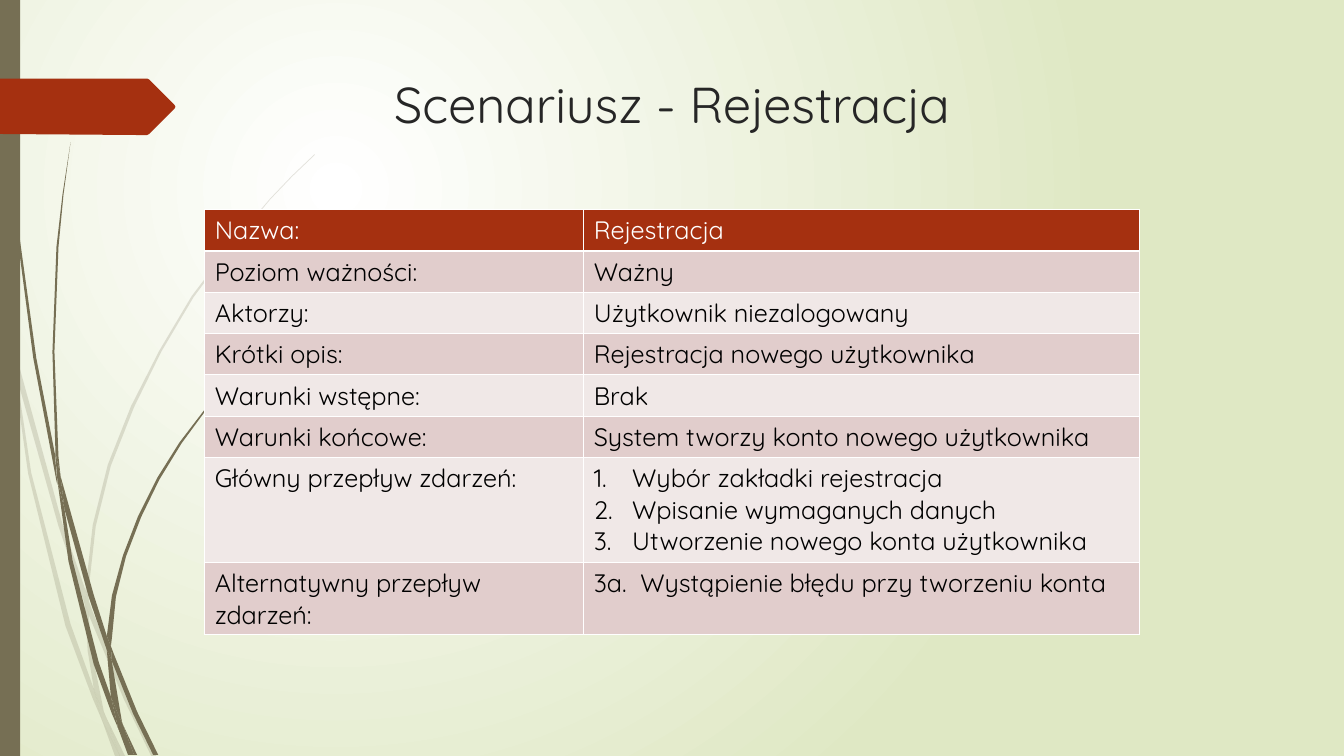
import pptx
import pptx.dml.color
import pptx.enum.shapes
import pptx.enum.text
import pptx.oxml
import pptx.oxml.ns
import pptx.util
import lxml.etree

Inches = pptx.util.Inches
Pt = pptx.util.Pt
qn = pptx.oxml.ns.qn

FONT = "Quicksand"
OLIVE, RUST, WHITE = "766F54", "A53010", "FFFFFF"
BANDS = ("F0E8E7", "E1CDCC")
TITLE = "Scenariusz - Rejestracja"
SCENARIO = [
    ("Nazwa:", ["Rejestracja"]),
    ("Poziom ważności:", ["Ważny"]),
    ("Aktorzy:", ["Użytkownik niezalogowany"]),
    ("Krótki opis:", ["Rejestracja nowego użytkownika"]),
    ("Warunki wstępne:", ["Brak"]),
    ("Warunki końcowe:", ["System tworzy konto nowego użytkownika"]),
    ("Główny przepływ zdarzeń:", ["Wybór zakładki rejestracja",
                                  "Wpisanie wymaganych danych",
                                  "Utworzenie nowego konta użytkownika"]),
    ("Alternatywny przepływ zdarzeń:", ["3a.  Wystąpienie błędu przy tworzeniu konta"]),
]
COLUMN_WIDTHS = (3.76, 5.51)
ROW_HEIGHTS = [0.41] * 6 + [1.04, 0.72]

PALE_GRASS = [
    [(0.11, 3.5), (0.09, 3.22), (0, 2.82), (0, 2.99), (0.1, 3.44)],
    [(0.58, 5.22), (0.84, 5.99), (0.85, 5.86), (0.62, 5.2), (0.14, 3.45), (0.17, 3.76)],
    [(0.92, 6.07), (0.88, 5.96), (0.88, 6.1), (1.23, 6.94), (1.5, 7.5), (1.55, 7.5),
     (1.27, 6.92)],
    [(1.19, 7.5), (1.24, 7.5), (1.05, 7.11)],
    [(0.93, 6.83), (0.7, 6.19), (0.31, 4.69), (0.17, 3.76), (0.11, 3.5), (0.28, 4.7),
     (0.65, 6.21), (0.92, 6.93), (1.01, 7.14), (0.99, 7.07)],
    [(0.84, 5.99), (0.87, 6.46), (0.93, 6.83), (0.96, 6.92), (1.05, 7.11), (1.03, 7.06),
     (0.91, 6.46), (0.88, 6.1), (0.88, 6.08)],
    [(0.88, 5.84), (0.95, 5.22), (1.1, 4.62), (1.33, 4.04), (1.6, 3.49), (1.92, 2.95),
     (2.29, 2.45), (2.68, 1.98), (2.9, 1.75), (3.12, 1.54), (3.12, 1.53), (2.89, 1.75),
     (2.68, 1.97), (2.28, 2.44), (1.9, 2.94), (1.58, 3.48), (1.3, 4.03), (1.07, 4.61),
     (0.92, 5.21), (0.85, 5.84), (0.85, 5.86), (0.88, 5.96)],
    [(1.01, 7.14), (1.14, 7.5), (1.19, 7.5)],
    [(0.88, 6.08), (0.88, 6.1), (0.88, 5.96), (0.85, 5.86), (0.84, 5.99)],
    [(0.96, 6.92), (0.93, 6.83), (0.99, 7.07), (1.01, 7.14), (1.19, 7.5), (1.05, 7.11)],
]
DARK_GRASS = [
    [(0.07, 1.1), (0.17, 2.33), (0.33, 3.55), (0.56, 4.77), (0.57, 4.81), (0.55, 4.57),
     (0.55, 4.53), (0.36, 3.55), (0.19, 2.32), (0.08, 1.09), (0.05, 0.48), (0.04, 0),
     (0.03, 0), (0.04, 0.48)],
    [(0.88, 5.92), (1.06, 6.45), (1.06, 6.33), (1.06, 6.31), (0.93, 5.9), (0.6, 4.72),
     (0.64, 5.05)],
    [(1.13, 6.49), (1.1, 6.41), (1.11, 6.56), (1.32, 7.08), (1.52, 7.49), (1.57, 7.49),
     (1.36, 7.06)],
    [(1.1, 6.91), (0.98, 6.57), (0.72, 5.56), (0.64, 5.05), (0.57, 4.77), (0.68, 5.57),
     (0.93, 6.59), (1.11, 7.08), (1.17, 7.22), (1.16, 7.17)],
    [(0.6, 4.72), (0.58, 4.53), (0.54, 3.49), (0.58, 2.45), (0.63, 1.93), (0.7, 1.41),
     (0.62, 1.93), (0.56, 2.45), (0.52, 3.49), (0.55, 4.49)],
    [(1.33, 7.49), (1.36, 7.49), (1.22, 7.19)],
    [(0.57, 4.77), (0.64, 5.05), (0.6, 4.72), (0.55, 4.49), (0.55, 4.53)],
    [(1.11, 6.33), (1.15, 5.92), (1.25, 5.52), (1.4, 5.13), (1.58, 4.76), (1.8, 4.4),
     (2.05, 4.06), (2.31, 3.74), (2.45, 3.59), (2.61, 3.44), (2.6, 3.44), (2.45, 3.58),
     (2.31, 3.73), (2.04, 4.05), (1.78, 4.39), (1.56, 4.74), (1.37, 5.12), (1.22, 5.51),
     (1.11, 5.91), (1.06, 6.31), (1.1, 6.41)],
    [(1.17, 7.22), (1.27, 7.49), (1.31, 7.49)],
    [(1.06, 6.45), (1.1, 6.91), (1.16, 7.06), (1.22, 7.19), (1.21, 7.16), (1.11, 6.56),
     (1.09, 6.51)],
    [(1.06, 6.45), (1.09, 6.51), (1.11, 6.56), (1.1, 6.41), (1.06, 6.31), (1.06, 6.33)],
    [(1.16, 7.06), (1.1, 6.91), (1.16, 7.17), (1.17, 7.22), (1.3, 7.49), (1.33, 7.49),
     (1.22, 7.19)],
]
PENNANT = [(0, 0.78), (1.46, 0.78), (1.48, 0.79), (1.73, 1.04), (1.74, 1.06),
           (1.73, 1.08), (1.48, 1.33), (1.46, 1.34), (1.36, 1.34), (0, 1.33)]


def color(code):
    return pptx.dml.color.RGBColor.from_string(code)


def paint(shape, code, opacity=100):
    shape.shadow.inherit = False
    shape.line.fill.background()
    shape.fill.solid()
    shape.fill.fore_color.rgb = color(code)
    if opacity < 100:
        tint = shape.element.spPr.find(qn("a:solidFill"))[0]
        lxml.etree.SubElement(tint, qn("a:alpha"), val=str(opacity * 1000))


def add_outline(shapes, points, code, opacity=100):
    corners = [(Inches(x), Inches(y)) for x, y in points]
    builder = shapes.build_freeform(*corners[0], scale=1.0)
    builder.add_line_segments(corners[1:], close=True)
    paint(builder.convert_to_shape(), code, opacity)


def style(para, size, code):
    for span in para.runs:
        span.font.name = FONT
        span.font.size = Pt(size)
        span.font.bold = False
        span.font.color.rgb = color(code)


def number(para):
    properties = para._p.get_or_add_pPr()
    properties.set("marL", str(Inches(0.38)))
    properties.set("indent", str(-Inches(0.38)))
    lxml.etree.SubElement(properties, qn("a:buFont"), typeface="+mj-lt")
    lxml.etree.SubElement(properties, qn("a:buAutoNum"), type="arabicPeriod")


def add_borders(cell):
    properties = cell._tc.get_or_add_tcPr()
    for position, side in enumerate(("a:lnL", "a:lnR", "a:lnT", "a:lnB")):
        border = pptx.oxml.parse_xml(
            f'<{side} {pptx.oxml.ns.nsdecls("a")} w="{Pt(1)}"><a:solidFill>'
            f'<a:srgbClr val="{WHITE}"/></a:solidFill></{side}>')
        properties.insert(position, border)


def add_background(page):
    fill = page.background.fill
    fill.gradient()
    for stop, code, position in zip(fill.gradient_stops, (WHITE, "DFE8C4"), (0, 1)):
        stop.color.rgb = color(code)
        stop.position = position
    direction = next(page.element.iter(qn("a:lin")))
    circle = pptx.oxml.parse_xml(
        f'<a:path {pptx.oxml.ns.nsdecls("a")} path="circle">'
        '<a:fillToRect l="50000" t="50000" r="100000" b="100000"/></a:path>')
    direction.getparent().replace(direction, circle)


def add_scenario(page):
    frame = page.shapes.add_table(len(SCENARIO), 2, Inches(2.03), Inches(2.08),
                                  Inches(sum(COLUMN_WIDTHS)), Inches(sum(ROW_HEIGHTS)))
    table = frame.table
    for column, width in zip(table.columns, COLUMN_WIDTHS):
        column.width = Inches(width)
    for index, (label, lines) in enumerate(SCENARIO):
        table.rows[index].height = Inches(ROW_HEIGHTS[index])
        for cell, texts in zip(table.rows[index].cells, ([label], lines)):
            cell.text_frame.text = "\n".join(texts)
            cell.fill.solid()
            cell.fill.fore_color.rgb = color(BANDS[index % 2] if index else RUST)
            add_borders(cell)
            for para in cell.text_frame.paragraphs:
                style(para, 18, "000000" if index else WHITE)
                if len(texts) > 1:
                    number(para)


def main():
    deck = pptx.Presentation()
    deck.slide_width, deck.slide_height = Inches(13.33), Inches(7.5)
    page = deck.slides.add_slide(deck.slide_layouts[6])
    add_background(page)
    for blades, opacity in ((PALE_GRASS, 20), (DARK_GRASS, 100)):
        tuft = page.shapes.add_group_shape()
        for blade in blades:
            add_outline(tuft.shapes, blade, OLIVE, opacity)
    side_bar = page.shapes.add_shape(pptx.enum.shapes.MSO_SHAPE.RECTANGLE,
                                     0, 0, Inches(0.2), Inches(7.5))
    paint(side_bar, OLIVE)
    add_outline(page.shapes, PENNANT, RUST)
    title = page.shapes.add_textbox(0, Inches(0.68), Inches(13.33), Inches(1.4))
    title.text_frame.word_wrap = True
    title.text_frame.text = TITLE
    heading = title.text_frame.paragraphs[0]
    heading.alignment = pptx.enum.text.PP_ALIGN.CENTER
    style(heading, 36, "262626")
    add_scenario(page)
    deck.save("out.pptx")


if __name__ == "__main__":
    main()
